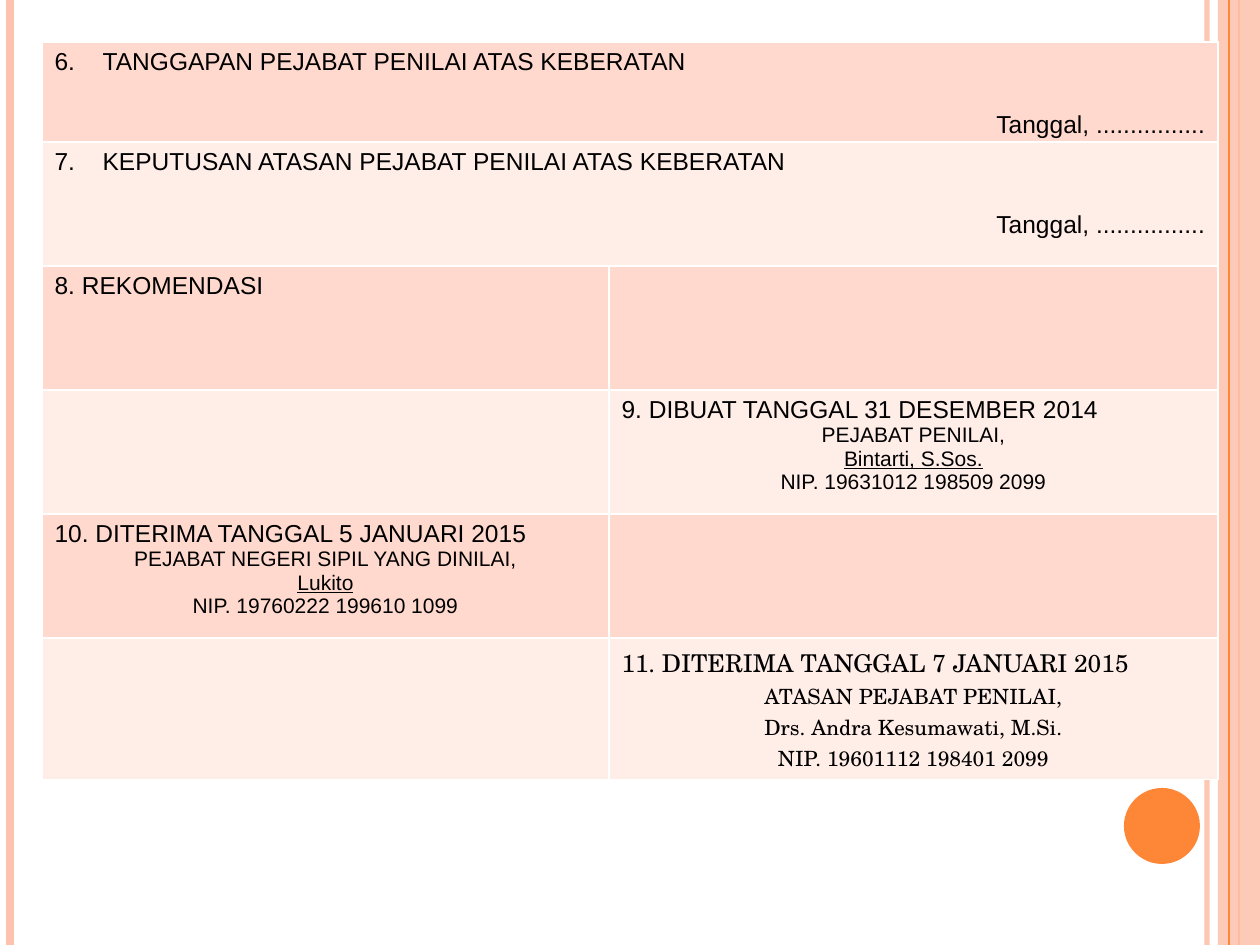
import pptx
import pptx.dml.color
import pptx.enum.shapes
import pptx.enum.text
import pptx.oxml.ns
import pptx.util
from lxml import etree

PX = 914400 // 126  # one px in EMU
SLIDE_W, SLIDE_H = 1260, 945
COLORS = {"peach": "FEC3AE", "orange": "FE8637", "dark_row": "FFD9CE",
          "light_row": "FFEDE8", "border": "FFFFFF", "text": "000000"}
SANS, SERIF = "Arial", "TeX Gyre Schola"
ALIGN = pptx.enum.text.PP_ALIGN
INDENT = 48

# Content: x, colour, width in points, opacity in percent
STRIPES_BELOW = [(1207, "peach", 3, 93), (10, "peach", 4.5, 100), (1239, "orange", 1.5, 100)]
STRIPES_ABOVE = [(1229, "orange", 0.75, 100)]
BAND = (1218, 0, 42, SLIDE_H)
DISC = (1124, 788, 76, 76)

# Content: the form
TABLE = (42, 42, 1176, 743)
COLUMNS = [567, 609]
ROWS = [100, 124, 124, 124, 124, 124]
DATE_LINE = "Tanggal, ................"
RESPONSES = [(6, "TANGGAPAN PEJABAT PENILAI ATAS KEBERATAN"),
             (7, "KEPUTUSAN ATASAN PEJABAT PENILAI ATAS KEBERATAN")]
RECOMMENDATION = "8. REKOMENDASI"
# row, column, font, name underlined, heading, role, name, number
SIGNATURES = [
    (3, 1, SANS, True, "9. DIBUAT TANGGAL 31 DESEMBER 2014", "PEJABAT PENILAI,",
     "Bintarti, S.Sos.", "NIP. 19631012 198509 2099"),
    (4, 0, SANS, True, "10. DITERIMA TANGGAL 5 JANUARI 2015",
     "PEJABAT NEGERI SIPIL YANG DINILAI,", "Lukito", "NIP. 19760222 199610 1099"),
    (5, 1, SERIF, False, "11. DITERIMA TANGGAL 7 JANUARI 2015", "ATASAN PEJABAT PENILAI,",
     "Drs. Andra Kesumawati, M.Si.", "NIP. 19601112 198401 2099"),
]


def px(*lengths):
    return [length * PX for length in lengths]


def rgb(name):
    return pptx.dml.color.RGBColor.from_string(COLORS[name])


def sub(parent, tag, **attributes):
    return etree.SubElement(parent, pptx.oxml.ns.qn(tag), attributes)


def set_opacity(element, percent):
    if percent < 100:
        color = next(element.iter(pptx.oxml.ns.qn("a:srgbClr")))
        sub(color, "a:alpha", val=str(percent * 1000))


def add_stripe(x, color, width, opacity):
    stripe = slide.shapes.add_connector(
        pptx.enum.shapes.MSO_CONNECTOR.STRAIGHT, *px(x, 0, x, SLIDE_H))
    stripe.line.color.rgb = rgb(color)
    stripe.line.width = pptx.util.Pt(width)
    properties = stripe.line._get_or_add_ln().getparent()
    set_opacity(properties, opacity)
    sub(properties, "a:effectLst")


def add_filled(preset, box, color, opacity=100):
    shape = slide.shapes.add_shape(preset, *px(*box))
    shape.shadow.inherit = False
    shape.fill.solid()
    shape.fill.fore_color.rgb = rgb(color)
    shape.line.fill.background()
    set_opacity(shape._element.spPr, opacity)


def add_text(cell, text, size=14, font=SANS, align=ALIGN.LEFT, underline=False,
             before=0, number=None):
    frame = cell.text_frame
    paragraph = frame.add_paragraph() if frame.text else frame.paragraphs[0]
    paragraph.alignment = align
    paragraph.space_before = pptx.util.Pt(before)
    properties = paragraph._p.get_or_add_pPr()
    properties.set("marL", str(INDENT * PX))
    properties.set("indent", str(-INDENT * PX))
    if number:
        sub(properties, "a:buFont", typeface="+mj-lt")
        sub(properties, "a:buAutoNum", type="arabicPeriod", startAt=str(number))
    run = paragraph.add_run()
    run.text = text
    run.font.size = pptx.util.Pt(size)
    run.font.name = font
    run.font.underline = underline
    run.font.color.rgb = rgb("text")


def style_cell(cell, color):
    properties = cell._tc.get_or_add_tcPr()
    for side in ("a:lnL", "a:lnR", "a:lnT", "a:lnB"):
        border = sub(properties, side, w=str(pptx.util.Pt(1)))
        sub(sub(border, "a:solidFill"), "a:srgbClr", val=COLORS["border"])
    cell.fill.solid()
    cell.fill.fore_color.rgb = rgb(color)


deck = pptx.Presentation()
deck.slide_width, deck.slide_height = px(SLIDE_W, SLIDE_H)
slide = deck.slides.add_slide(deck.slide_layouts[6])

# Edge decoration
for stripe in STRIPES_BELOW:
    add_stripe(*stripe)
add_filled(pptx.enum.shapes.MSO_SHAPE.RECTANGLE, BAND, "peach", 87)
for stripe in STRIPES_ABOVE:
    add_stripe(*stripe)
add_filled(pptx.enum.shapes.MSO_SHAPE.OVAL, DISC, "orange")

# Form grid
form_frame = slide.shapes.add_table(len(ROWS), len(COLUMNS), *px(*TABLE))
form = form_frame.table
for column, width in zip(form.columns, px(*COLUMNS)):
    column.width = width
for row_index, (row, height) in enumerate(zip(form.rows, px(*ROWS))):
    row.height = height
    for cell in row.cells:
        style_cell(cell, "light_row" if row_index % 2 else "dark_row")
form_frame.height = TABLE[3] * PX

# Responses across both columns
for row_index, (number, heading) in enumerate(RESPONSES):
    cell = form.cell(row_index, 0)
    cell.merge(form.cell(row_index, 1))
    cell.margin_bottom = 0
    add_text(cell, heading, number=number)
    add_text(cell, DATE_LINE, align=ALIGN.RIGHT, before=20.5)

# Recommendation and signatures
add_text(form.cell(2, 0), RECOMMENDATION)
for row_index, column_index, font, underlined, heading, role, name, number in SIGNATURES:
    cell = form.cell(row_index, column_index)
    add_text(cell, heading, font=font)
    for line in (role, name, number):
        add_text(cell, line, size=12, font=font, align=ALIGN.CENTER,
                 underline=underlined and line == name)

deck.save("out.pptx")
